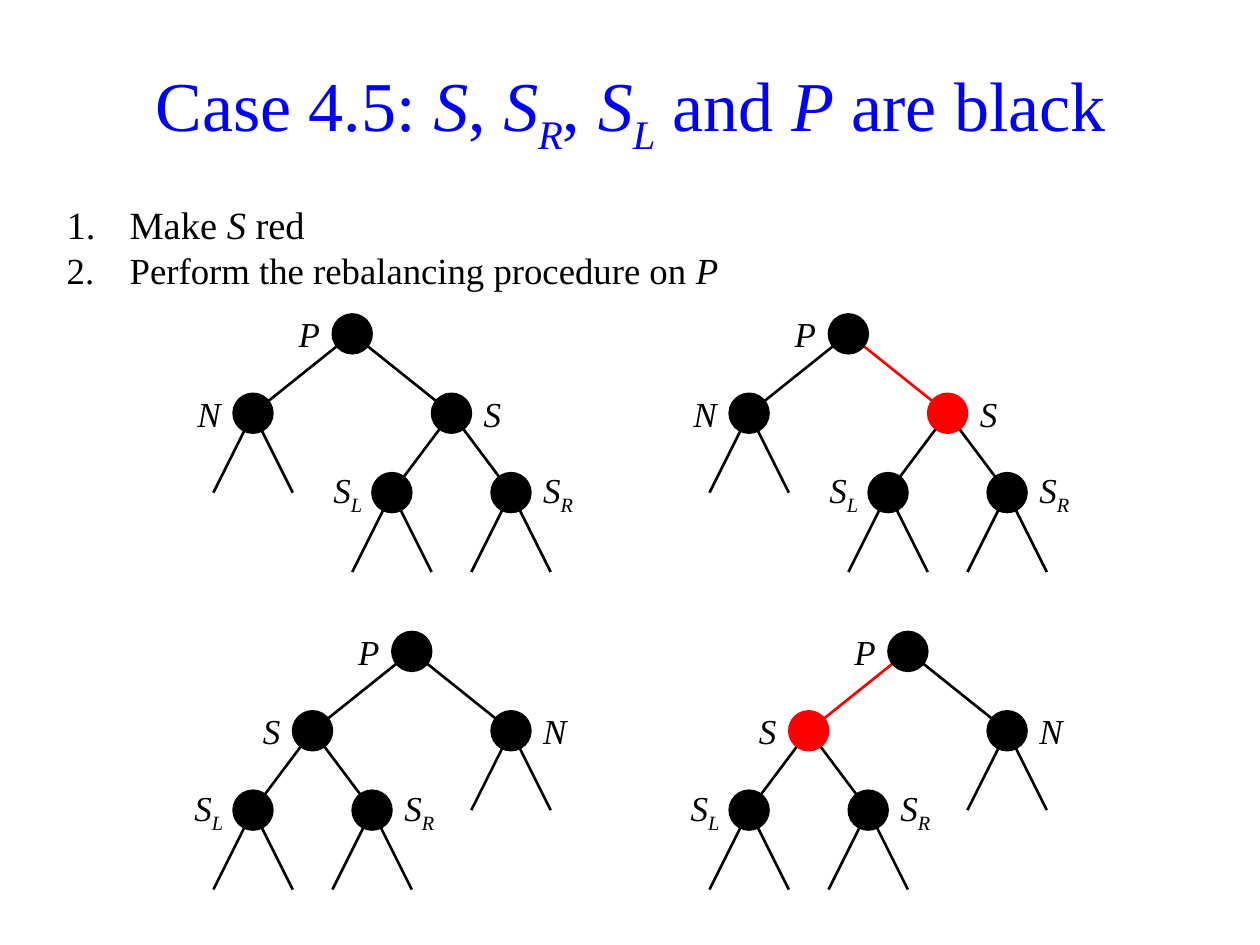
from dataclasses import dataclass

from lxml import etree
from pptx import Presentation
from pptx.dml.color import RGBColor
from pptx.enum.shapes import MSO_CONNECTOR, MSO_SHAPE
from pptx.enum.text import MSO_ANCHOR, PP_ALIGN
from pptx.oxml.ns import qn
from pptx.util import Pt

STRAIGHT = MSO_CONNECTOR.STRAIGHT
OVAL = MSO_SHAPE.OVAL
MIDDLE = MSO_ANCHOR.MIDDLE
LEFT, CENTER, RIGHT = PP_ALIGN.LEFT, PP_ALIGN.CENTER, PP_ALIGN.RIGHT

BLACK = RGBColor(0, 0, 0)
RED = RGBColor(255, 0, 0)
BLUE = RGBColor(0, 0, 255)
FONT = "Times New Roman"

STEP = 22.68
ROW_HEIGHT = 2 * STEP
LABEL_WIDTH = 1.5 * STEP
TREE_GAP_X = 12.5 * STEP
TREE_GAP_Y = 8 * STEP
FIRST_ROOT = (201.3, 190.8)


@dataclass(frozen=True)
class Span:
    text: str
    italic: bool = False
    subscript: bool = False


@dataclass(frozen=True)
class Node:
    x: float
    y: float
    label: tuple[Span, ...]
    side: int
    color: RGBColor = BLACK


@dataclass(frozen=True)
class Tree:
    x: float
    y: float
    sibling_side: int
    sibling_color: RGBColor


def symbol(name: str, index: str = "") -> tuple[Span, ...]:
    spans = (Span(name, italic=True),)
    return spans + (Span(index, True, True),) if index else spans


P, N, S, S_L, S_R = symbol("P"), symbol("N"), symbol("S"), symbol("S", "L"), symbol("S", "R")
COMMA = Span(", ")
TITLE = (Span("Case 4.5: "), *S, COMMA, *S_R, COMMA, *S_L, Span(" and "), *P, Span(" are black"))
ACTIONS = (
    (22, (Span("Make "), Span("S ", italic=True), Span("red"))),
    (21, (Span("Perform the rebalancing procedure on "), *P)),
)


def write_spans(paragraph, spans: tuple[Span, ...], size: float, color: RGBColor) -> None:
    paragraph.font.name = FONT
    paragraph.font.size = Pt(size)
    paragraph.font.color.rgb = color
    for span in spans:
        run = paragraph.add_run()
        run.text = span.text
        run.font.italic = span.italic
        if span.subscript:
            run._r.get_or_add_rPr().set("baseline", "-25000")


def add_title(page) -> None:
    title = page.shapes.title
    title.left, title.top, title.width, title.height = Pt(20.2), Pt(20.9), Pt(680.4), Pt(79.2)
    title.text_frame.vertical_anchor = MIDDLE
    paragraph = title.text_frame.paragraphs[0]
    paragraph.alignment = CENTER
    paragraph.line_spacing = 0.9
    write_spans(paragraph, TITLE, 40, BLUE)


def add_actions(page) -> None:
    box = page.shapes.add_textbox(Pt(31), Pt(111.6), Pt(657.4), Pt(56.9))
    frame = box.text_frame
    frame.word_wrap = True
    for index, (size, spans) in enumerate(ACTIONS):
        paragraph = frame.add_paragraph() if index else frame.paragraphs[0]
        properties = paragraph._p.get_or_add_pPr()
        properties.set("marL", str(Pt(36)))
        properties.set("indent", str(Pt(-36)))
        etree.SubElement(properties, qn("a:buFont"), typeface="+mj-lt")
        etree.SubElement(properties, qn("a:buAutoNum"), type="arabicPeriod")
        write_spans(paragraph, spans, size, BLACK)


def add_edge(page, start: Node, end_x: float, end_y: float, color: RGBColor = BLACK) -> None:
    edge = page.shapes.add_connector(STRAIGHT, Pt(start.x), Pt(start.y), Pt(end_x), Pt(end_y))
    edge.line.color.rgb = color
    edge.line.width = Pt(1.5)
    etree.SubElement(edge._element.spPr, qn("a:effectLst"))


def add_node(page, node: Node) -> None:
    radius = STEP / 2
    circle = page.shapes.add_shape(
        OVAL, Pt(node.x - radius), Pt(node.y - radius), Pt(STEP), Pt(STEP))
    circle.shadow.inherit = False
    circle.fill.solid()
    circle.fill.fore_color.rgb = node.color
    circle.line.color.rgb = node.color
    circle.line.width = Pt(1)

    left = node.x + radius if node.side > 0 else node.x - radius - LABEL_WIDTH
    box = page.shapes.add_textbox(
        Pt(left), Pt(node.y - STEP), Pt(LABEL_WIDTH), Pt(ROW_HEIGHT))
    frame = box.text_frame
    frame.word_wrap = True
    frame.vertical_anchor = MIDDLE
    if node.label == S_L:
        frame.margin_right = Pt(5.7)
    paragraph = frame.paragraphs[0]
    paragraph.alignment = LEFT if node.side > 0 else RIGHT
    write_spans(paragraph, node.label, 20, BLACK)


def add_tree(page, tree: Tree) -> None:
    side = tree.sibling_side
    child_y = tree.y + ROW_HEIGHT
    leaf_y = child_y + ROW_HEIGHT
    parent = Node(tree.x, tree.y, P, -1)
    node = Node(tree.x - side * 2.5 * STEP, child_y, N, -side)
    sibling = Node(tree.x + side * 2.5 * STEP, child_y, S, side, tree.sibling_color)
    left_child = Node(sibling.x - 1.5 * STEP, leaf_y, S_L, -1)
    right_child = Node(sibling.x + 1.5 * STEP, leaf_y, S_R, 1)

    add_edge(page, parent, node.x, node.y)
    add_edge(page, parent, sibling.x, sibling.y, tree.sibling_color)
    for child in (left_child, right_child):
        add_edge(page, sibling, child.x, child.y)
    for bottom in (node, left_child, right_child):
        for direction in (-1, 1):
            add_edge(page, bottom, bottom.x + direction * STEP, bottom.y + ROW_HEIGHT)
    for member in (parent, node, sibling, left_child, right_child):
        add_node(page, member)


def main() -> None:
    deck = Presentation()
    deck.slide_width, deck.slide_height = Pt(720), Pt(540)
    page = deck.slides.add_slide(deck.slide_layouts[5])
    add_title(page)
    add_actions(page)
    root_x, root_y = FIRST_ROOT
    for row, side in enumerate((1, -1)):
        for column, color in enumerate((BLACK, RED)):
            x = root_x + column * TREE_GAP_X + row * 1.5 * STEP
            add_tree(page, Tree(x, root_y + row * TREE_GAP_Y, side, color))
    deck.save("out.pptx")


if __name__ == "__main__":
    main()
